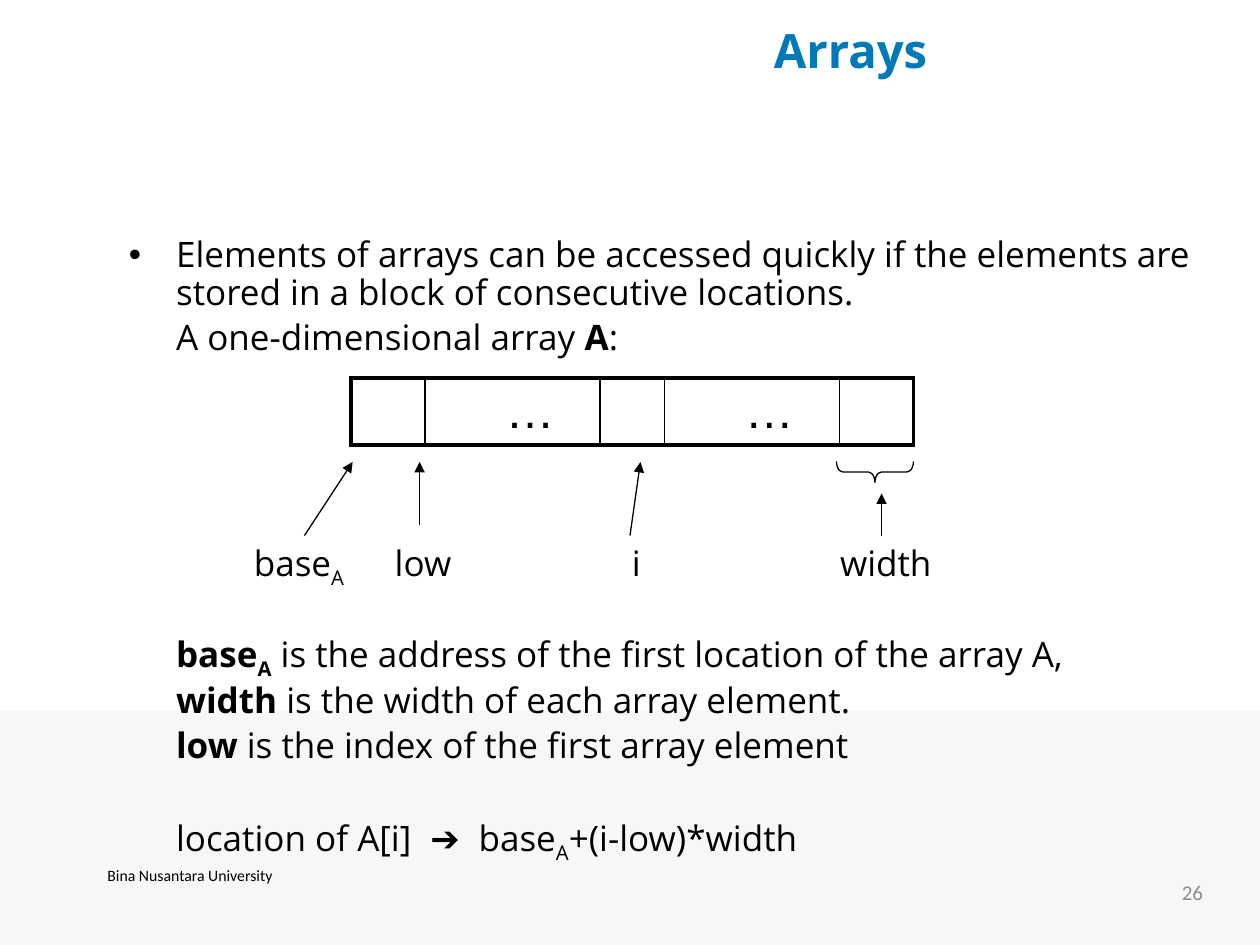
from lxml import etree
from pptx import Presentation
from pptx.dml.color import RGBColor
from pptx.enum.shapes import MSO_CONNECTOR, MSO_SHAPE
from pptx.enum.text import MSO_ANCHOR, MSO_AUTO_SIZE, PP_ALIGN
from pptx.oxml import parse_xml
from pptx.oxml.ns import nsdecls, qn
from pptx.util import Pt

STRAIGHT = MSO_CONNECTOR.STRAIGHT
RECTANGLE, LEFT_BRACE = MSO_SHAPE.RECTANGLE, MSO_SHAPE.LEFT_BRACE
TOP, MIDDLE = MSO_ANCHOR.TOP, MSO_ANCHOR.MIDDLE
NO_AUTOFIT = MSO_AUTO_SIZE.NONE
LEFT, CENTER, RIGHT = PP_ALIGN.LEFT, PP_ALIGN.CENTER, PP_ALIGN.RIGHT
BLACK = "000000"


def color(hex_string):
    return RGBColor.from_string(hex_string)


def add_runs(paragraph, runs, size, font_name="Open Sans", font_color=BLACK):
    """Add (text, style) runs; in a style, b is bold, s subscript, w wide spacing."""
    for text, style in runs:
        run = paragraph.add_run()
        run.text = text
        run.font.size = Pt(size)
        run.font.name = font_name
        run.font.bold = "b" in style
        run.font.color.rgb = color(font_color)
        if "s" in style:
            run.font._element.set("baseline", "-25000")
        if "w" in style:
            run.font._element.set("spc", "550")


presentation = Presentation()
presentation.slide_width = Pt(720)
presentation.slide_height = Pt(540)
slide = presentation.slides.add_slide(presentation.slide_layouts[1])
shapes = slide.shapes

# Footer band, behind everything else
band = shapes.add_shape(RECTANGLE, Pt(0), Pt(406), Pt(720), Pt(134))
band.shadow.inherit = False
band.fill.solid()
band.fill.fore_color.rgb = color("F7F7F7")
band.line.fill.background()
band.element.getparent().insert(2, band.element)

# Title
title = shapes.title
title.left, title.top, title.width, title.height = Pt(270), Pt(8.3), Pt(432), Pt(39.6)
title.text_frame.auto_size = NO_AUTOFIT
title.text_frame.vertical_anchor = MIDDLE
title_paragraph = title.text_frame.paragraphs[0]
title_paragraph.alignment = CENTER
add_runs(title_paragraph, [("Arrays", "b")], 27, font_color="0079B8")

# Body: (space before, runs); the wide gap leaves room for the array diagram
body_paragraphs = [
    (0, [("Elements of arrays can be accessed quickly if the elements are "
          "stored in a block of consecutive locations.", "")]),
    (4, [("A one-dimensional array ", ""), ("A", "b"), (":", "")]),
    (157.5, [("base", "b"), ("A", "bs"),
             (" is the address of the first location of the array A,", "")]),
    (4, [("width", "b"), (" is the width of each array element.", "")]),
    (4, [("low", "b"), (" is the index of the first array element", "")]),
    (29.5, [("location of A[i]", ""), (" ", "w"), ("➔", ""), (" ", "w"),
            ("base", ""), ("A", "s"), ("+(i-low)*width", "")]),
]
body = slide.placeholders[1]
body.left, body.top, body.width, body.height = Pt(66.4), Pt(132), Pt(636), Pt(390)
body_frame = body.text_frame
body_frame.auto_size = NO_AUTOFIT
for index, (space_before, runs) in enumerate(body_paragraphs):
    paragraph = body_frame.add_paragraph() if index else body_frame.paragraphs[0]
    properties = paragraph._p.get_or_add_pPr()
    properties.set("marL", str(Pt(27)))
    properties.set("indent", str(0 if index else -Pt(27)))
    if index:
        etree.SubElement(properties, qn("a:buNone"))
    else:
        etree.SubElement(properties, qn("a:buChar")).set("char", "•")
    paragraph.line_spacing = 0.9
    paragraph.space_before = Pt(space_before)
    add_runs(paragraph, runs, 20)

# Array cells
column_widths = [42.5, 100, 36.7, 100, 42.5]
cell_texts = ["", "…", "", "…", ""]
last = len(column_widths) - 1
frame = shapes.add_table(1, len(column_widths), Pt(200.5), Pt(216),
                         Pt(sum(column_widths)), Pt(38.4))
table = frame.table
table.first_row = False
table.horz_banding = False
for index, (width, text) in enumerate(zip(column_widths, cell_texts)):
    table.columns[index].width = Pt(width)
    cell = table.cell(0, index)
    cell.fill.background()
    if text:
        cell.margin_left = Pt(46)
        cell.margin_bottom = Pt(2.5)
        add_runs(cell.text_frame.paragraphs[0], [(text, "")], 28, "Arial")
    borders = {"lnL": 1 if index else 2.25, "lnR": 1 if index < last else 2.25,
               "lnT": 2.25, "lnB": 2.25}
    for position, (side, line_width) in enumerate(borders.items()):
        cell._tc.get_or_add_tcPr().insert(position, parse_xml(
            f'<a:{side} {nsdecls("a")} w="{Pt(line_width)}"><a:solidFill>'
            f'<a:srgbClr val="{BLACK}"/></a:solidFill></a:{side}>'))

# Arrows from the labels to the cells
arrows = [
    (174, 306, 201.5, 264),
    (239.8, 300, 239.8, 264),
    (360, 306, 366, 264),
    (503.8, 306, 503.8, 282),
]
for ends in arrows:
    arrow = shapes.add_connector(STRAIGHT, *(Pt(value) for value in ends))
    arrow.line.color.rgb = color(BLACK)
    arrow.line.width = Pt(0.75)
    etree.SubElement(arrow.line._get_or_add_ln(), qn("a:tailEnd")).set("type", "triangle")
    etree.SubElement(arrow._element.spPr, qn("a:effectLst"))

# Brace under the last cell
brace = shapes.add_shape(LEFT_BRACE, Pt(494), Pt(247.7), Pt(12), Pt(44))
brace.rotation = 270
brace.adjustments[0] = 0.31
brace.shadow.inherit = False
brace.fill.background()
brace.line.color.rgb = color(BLACK)
brace.line.width = Pt(0.75)

# Text boxes: left, top, width, height, anchor, alignment, tab stops, runs, font
label_runs = [("base", ""), ("A", "s"), ("\tlow\ti\twidth", "")]
text_boxes = [
    (138, 306, 432, 32, TOP, LEFT, [80.5, 216, 335], label_runs, (20,)),
    (24.5, 491, 168, 37.5, TOP, CENTER, [],
     [("Bina Nusantara University", "")], (9, "Calibri")),
    (526.5, 491, 168, 37.5, MIDDLE, RIGHT, [], [("26", "")], (12, "Calibri", "8C8C8C")),
]
for left, top, width, height, anchor, alignment, tab_stops, runs, font in text_boxes:
    box = shapes.add_textbox(Pt(left), Pt(top), Pt(width), Pt(height))
    box.text_frame.word_wrap = True
    box.text_frame.vertical_anchor = anchor
    paragraph = box.text_frame.paragraphs[0]
    paragraph.alignment = alignment
    if tab_stops:
        tab_list = etree.SubElement(paragraph._p.get_or_add_pPr(), qn("a:tabLst"))
        for stop in tab_stops:
            etree.SubElement(tab_list, qn("a:tab"), pos=str(Pt(stop)), algn="l")
    add_runs(paragraph, runs, *font)

presentation.save("out.pptx")
